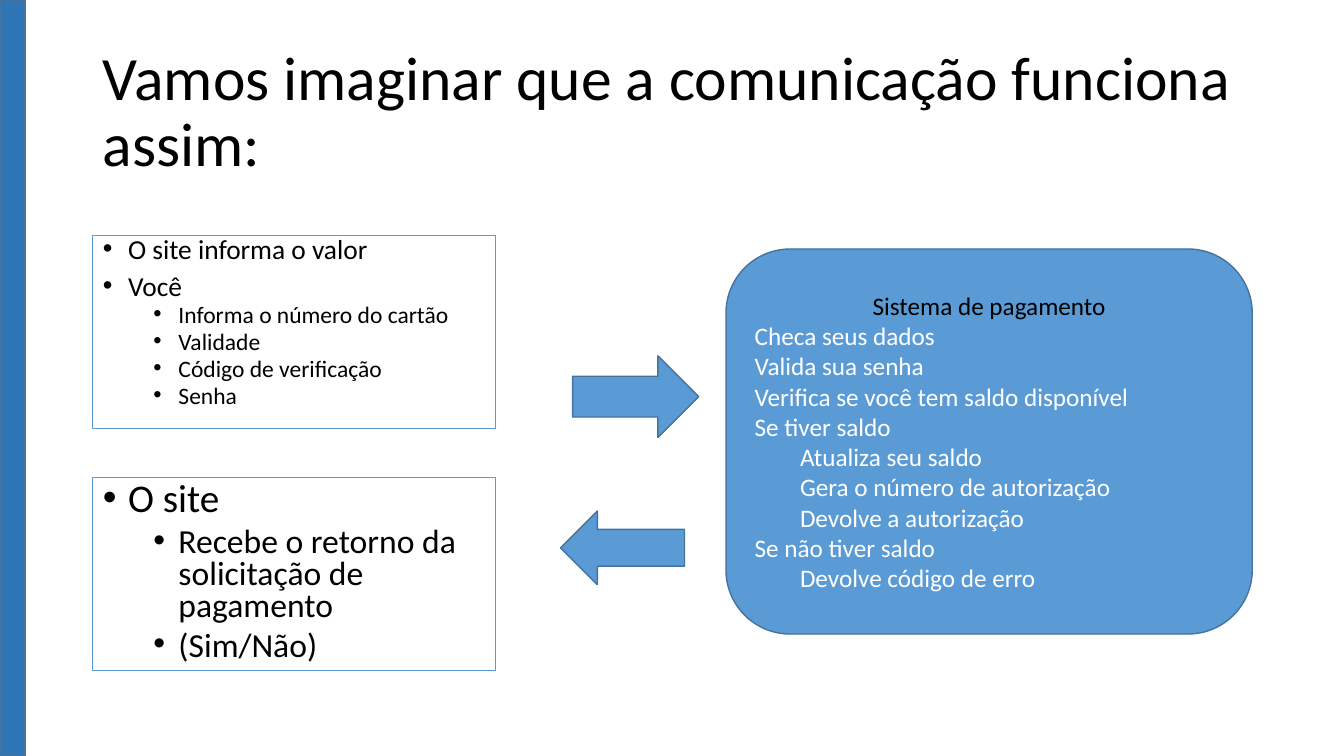
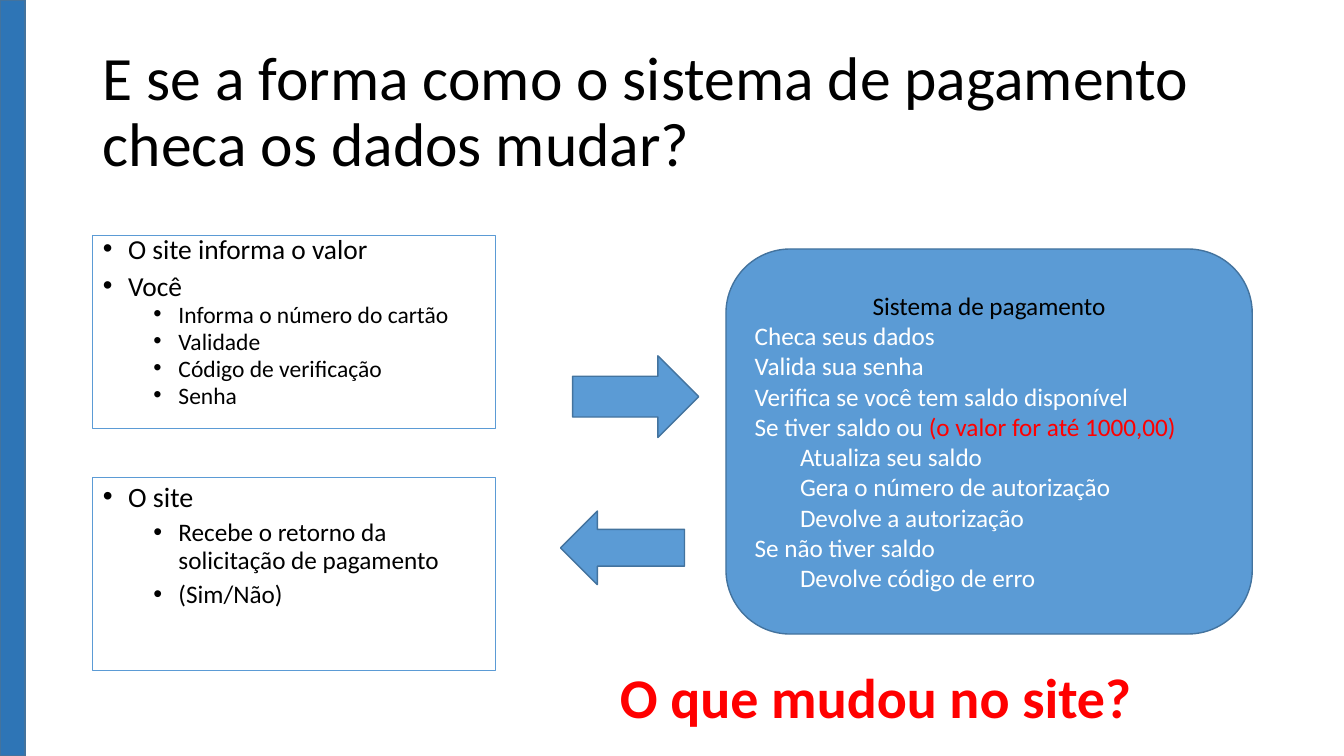
import pptx
import pptx.util
import pptx.dml.color
import pptx.enum.shapes
import pptx.enum.text
from lxml import etree

RGBColor = pptx.dml.color.RGBColor
Pt = pptx.util.Pt
MSO_SHAPE = pptx.enum.shapes.MSO_SHAPE
MSO_ANCHOR = pptx.enum.text.MSO_ANCHOR
MSO_AUTO_SIZE = pptx.enum.text.MSO_AUTO_SIZE
PP_ALIGN = pptx.enum.text.PP_ALIGN

BLACK = RGBColor(0x00, 0x00, 0x00)
WHITE = RGBColor(0xFF, 0xFF, 0xFF)
RED = RGBColor(0xFF, 0x00, 0x00)
BLUE = RGBColor(0x5B, 0x9B, 0xD5)
OUTLINE = RGBColor(0x43, 0x73, 0x9E)
BAND = RGBColor(0x2E, 0x75, 0xB6)

FONT = "Calibri"
PX = 9144  # EMU: 100 px to the inch
SLIDE_WIDTH, SLIDE_HEIGHT = 1333, 750
TWO_CONTENT_LAYOUT = 3
DRAWING_NS = "http://schemas.openxmlformats.org/drawingml/2006/main"

REQUEST_AREA = (92, 234, 399, 191)
ANSWER_AREA = (92, 474, 399, 191)

# Each line is (level, text)
REQUEST = [
    (0, "O site informa o valor"),
    (0, "Você"),
    (1, "Informa o número do cartão"),
    (1, "Validade"),
    (1, "Código de verificação"),
    (1, "Senha"),
]
ANSWER = [
    (0, "O site"),
    (1, "Recebe o retorno da solicitação de pagamento"),
    (1, "(Sim/Não)"),
]


def payment_steps(condition, highlight=""):
    """Lines of the payment system as (level, text, highlighted text)."""
    return [
        (0, "Checa seus dados", ""),
        (0, "Valida sua senha", ""),
        (0, "Verifica se você tem saldo disponível", ""),
        (0, condition, highlight),
        (1, "Atualiza seu saldo", ""),
        (1, "Gera o número de autorização", ""),
        (1, "Devolve a autorização", ""),
        (0, "Se não tiver saldo", ""),
        (1, "Devolve código de erro", ""),
    ]


class Deck:
    def __init__(self):
        self.presentation = pptx.Presentation()
        self.presentation.slide_width = SLIDE_WIDTH * PX
        self.presentation.slide_height = SLIDE_HEIGHT * PX
        self.slide = None

    def new_slide(self, title):
        layout = self.presentation.slide_layouts[TWO_CONTENT_LAYOUT]
        self.slide = self.presentation.slides.add_slide(layout)
        heading = self.slide.shapes.title
        self.place(heading, (92, 40, 1150, 145))
        frame = heading.text_frame
        frame.text = title
        frame.vertical_anchor = MSO_ANCHOR.MIDDLE
        frame.auto_size = MSO_AUTO_SIZE.NONE
        paragraph = frame.paragraphs[0]
        paragraph.alignment = PP_ALIGN.LEFT
        paragraph.line_spacing = 0.9
        self.style(paragraph.runs[0], 44, BLACK)

    def place(self, shape, area):
        shape.left, shape.top, shape.width, shape.height = (n * PX for n in area)

    def style(self, run, size, color, bold=False):
        run.font.name = FONT
        run.font.size = Pt(size)
        run.font.bold = bold
        run.font.color.rgb = color

    def paragraphs(self, frame, texts):
        """Write one paragraph per text and return them."""
        frame.text = "\n".join(texts)
        return frame.paragraphs

    def indent(self, paragraph, margin, first=0):
        properties = paragraph._p.get_or_add_pPr()
        properties.set("marL", str(margin * PX))
        properties.set("indent", str(first * PX))
        return properties

    def bullet_list(self, index, area, lines, sizes, spacing):
        """Fill a body placeholder; sizes holds one text size per level."""
        body = self.slide.placeholders[index]
        self.place(body, area)
        body.line.color.rgb = BLUE
        body.line.width = Pt(0.75)
        frame = body.text_frame
        frame.auto_size = MSO_AUTO_SIZE.NONE
        written = self.paragraphs(frame, [text for _, text in lines])
        for paragraph, (level, _) in zip(written, lines):
            paragraph.level = level
            paragraph.line_spacing = spacing
            paragraph.space_before = Pt((10, 5)[level])
            properties = self.indent(paragraph, 25 + 50 * level, -25)
            for tag, key, value in (("buFont", "typeface", "Arial"), ("buChar", "char", "•")):
                etree.SubElement(properties, f"{{{DRAWING_NS}}}{tag}").set(key, value)
            self.style(paragraph.runs[0], sizes[level], BLACK)

    def block(self, kind, area, fill=BLUE):
        shape = self.slide.shapes.add_shape(kind, *(n * PX for n in area))
        shape.shadow.inherit = False
        shape.fill.solid()
        shape.fill.fore_color.rgb = fill
        shape.line.color.rgb = OUTLINE
        shape.line.width = Pt(1)
        return shape

    def payment_system(self, steps):
        frame = self.block(MSO_SHAPE.ROUNDED_RECTANGLE, (720, 247, 522, 382)).text_frame
        frame.word_wrap = True
        frame.vertical_anchor = MSO_ANCHOR.MIDDLE
        heading, *written = self.paragraphs(
            frame, ["Sistema de pagamento"] + [text for _, text, _ in steps])
        heading.alignment = PP_ALIGN.CENTER
        self.style(heading.runs[0], 18, BLACK)
        for paragraph, (level, _, highlight) in zip(written, steps):
            paragraph.alignment = PP_ALIGN.LEFT
            self.indent(paragraph, 45 * level)
            self.style(paragraph.runs[0], 18, WHITE)
            if highlight:
                change = paragraph.add_run()
                change.text = highlight
                self.style(change, 18, RED)

    def arrows(self):
        self.block(MSO_SHAPE.RIGHT_ARROW, (568, 353, 125, 81))
        self.block(MSO_SHAPE.LEFT_ARROW, (556, 507, 123, 73))

    def question(self, text):
        box = self.slide.shapes.add_textbox(*(n * PX for n in (605, 652, 533, 77)))
        frame = box.text_frame
        frame.text = text
        frame.word_wrap = False
        frame.auto_size = MSO_AUTO_SIZE.SHAPE_TO_FIT_TEXT
        self.style(frame.paragraphs[0].runs[0], 40, RED, bold=True)

    def side_band(self):
        self.block(MSO_SHAPE.RECTANGLE, (0, 0, 25, SLIDE_HEIGHT), BAND)

    def payment_flow(self, title, steps, answer_sizes, answer_spacing):
        """Build the slide on which the site and the payment system talk."""
        self.new_slide(title)
        self.bullet_list(1, REQUEST_AREA, REQUEST, (19.6, 16.8), 0.7)
        self.bullet_list(2, ANSWER_AREA, ANSWER, answer_sizes, answer_spacing)
        self.payment_system(steps)
        self.arrows()
        self.side_band()


def main():
    deck = Deck()
    deck.payment_flow(
        "Vamos imaginar que a comunicação funciona assim:",
        payment_steps("Se tiver saldo"), (28, 24), 0.8)
    deck.payment_flow(
        "E se a forma como o sistema de pagamento checa os dados mudar?",
        payment_steps("Se tiver saldo ou ", "(o valor for até 1000,00)"), (20, 18), 0.9)
    deck.question("O que mudou no site?")
    deck.presentation.save("out.pptx")


if __name__ == "__main__":
    main()
